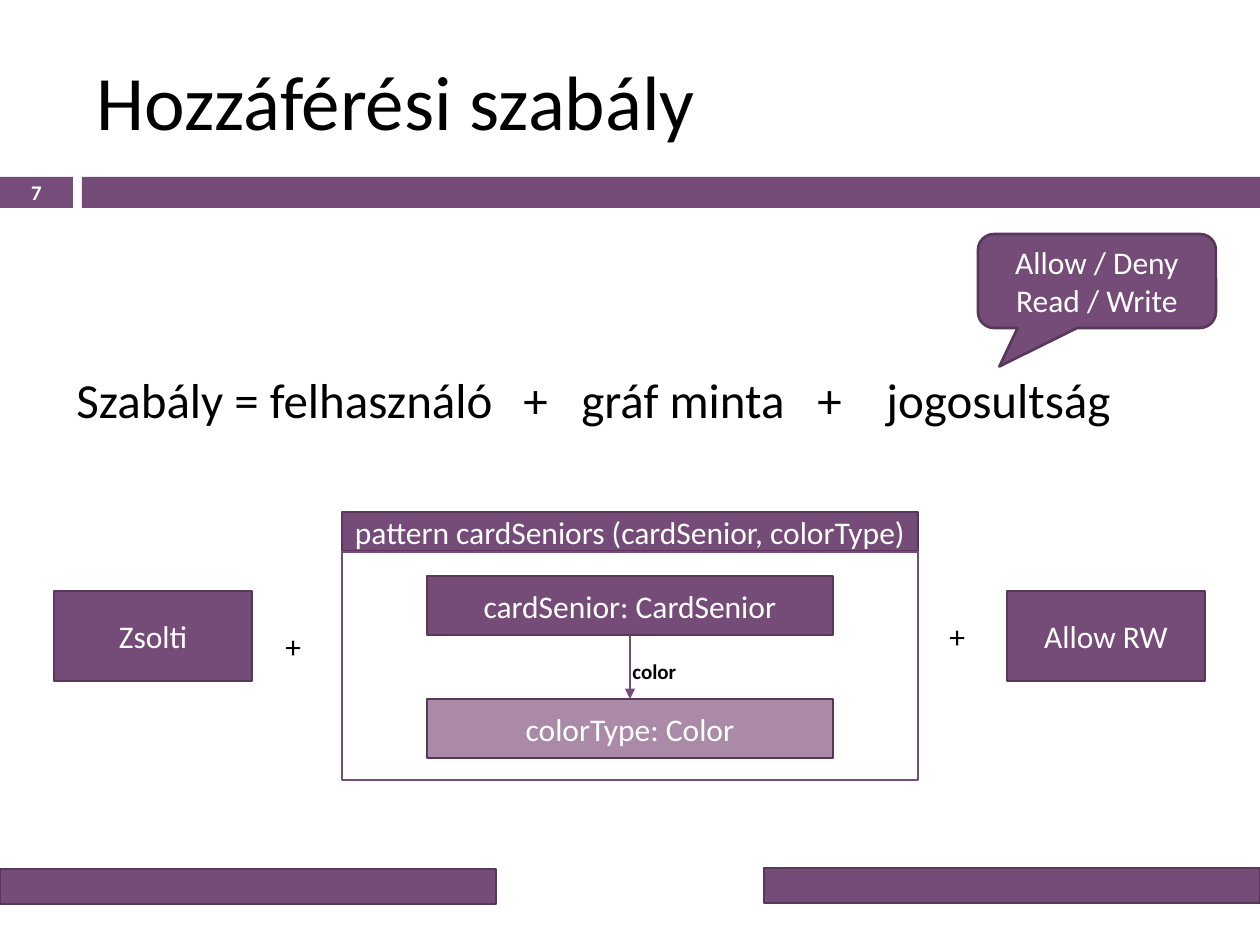
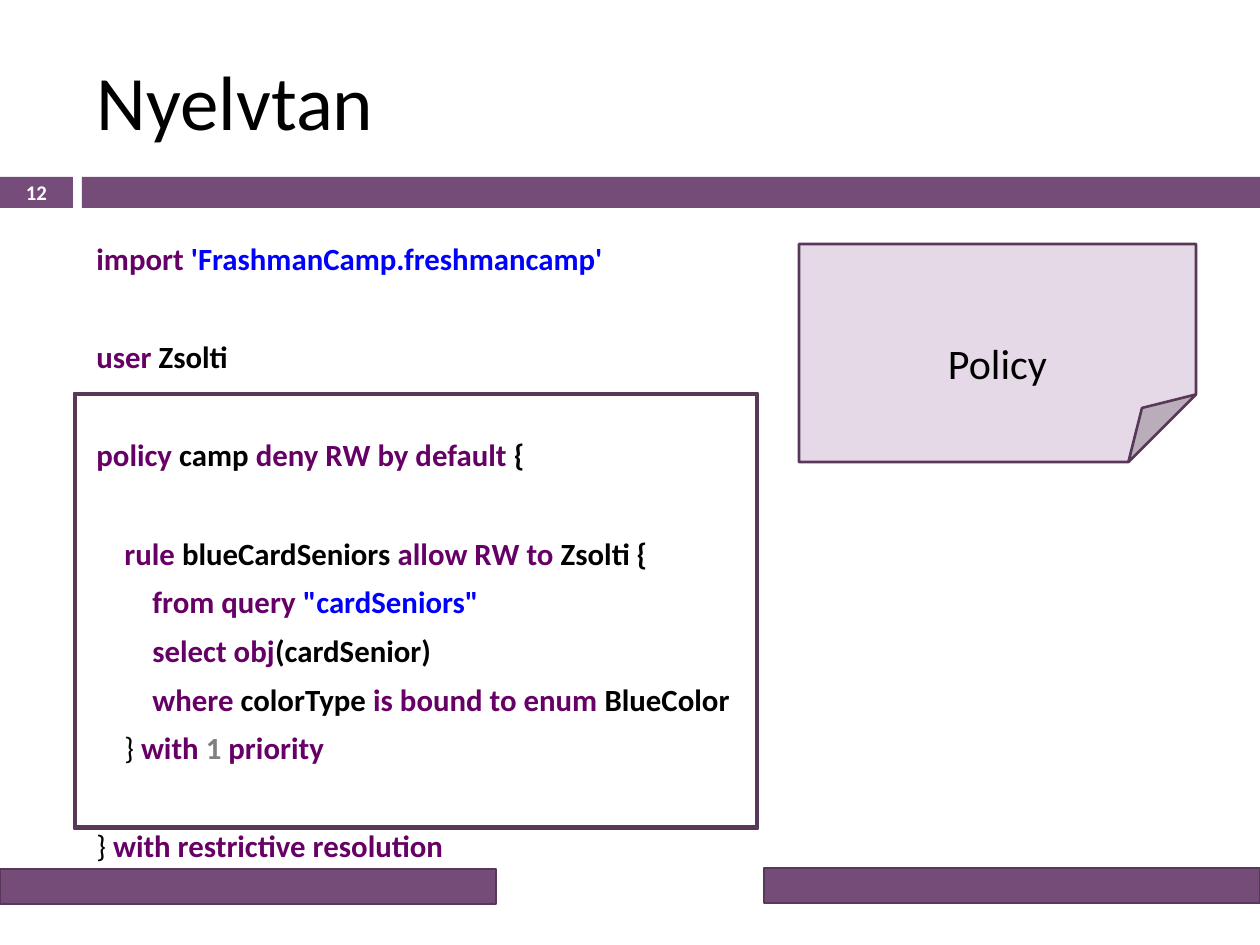
from lxml import etree
from pptx import Presentation
from pptx.dml.color import RGBColor
from pptx.enum.shapes import MSO_CONNECTOR, MSO_SHAPE
from pptx.enum.text import MSO_ANCHOR, PP_ALIGN
from pptx.oxml.ns import qn
from pptx.util import Emu, Pt

RECT = MSO_SHAPE.RECTANGLE
CALLOUT = MSO_SHAPE.ROUNDED_RECTANGULAR_CALLOUT
NOTE = MSO_SHAPE.FOLDED_CORNER
FRAME = MSO_SHAPE.FRAME
STRAIGHT = MSO_CONNECTOR.STRAIGHT
LEFT, CENTER = PP_ALIGN.LEFT, PP_ALIGN.CENTER
TOP, MIDDLE, BOTTOM = MSO_ANCHOR.TOP, MSO_ANCHOR.MIDDLE, MSO_ANCHOR.BOTTOM

EMU_PER_PX = 914400 / 126
FONT = "Calibri"
PURPLE, PURPLE_NUMBER, PURPLE_DARK = "754C78", "754C7A", "573859"
MAUVE, LILAC = "AA8AA6", "E6D9E7"
WHITE, BLACK = "FFFFFF", "000000"
KEYWORD, STRING, NUMBER = "660066", "0000FF", "808080"

CODE_INDENT = 28
LINE_GAP, BLANK_LINE_GAP = 6.7, 34.9
# Each code line: indent level, whether a blank line precedes it, (text, colour) parts
CODE = [
    (0, False, [("import ", KEYWORD), ("'FrashmanCamp.freshmancamp'", STRING)]),
    (0, True, [("user", KEYWORD), (" Zsolti", BLACK)]),
    (0, True, [("policy ", KEYWORD), ("camp ", BLACK),
               ("deny RW by default", KEYWORD), (" {", BLACK)]),
    (1, True, [("rule ", KEYWORD), ("blueCardSeniors ", BLACK),
               ("allow RW to ", KEYWORD), ("Zsolti {", BLACK)]),
    (2, False, [("from query ", KEYWORD), ('"cardSeniors"', STRING)]),
    (2, False, [("select obj", KEYWORD), ("(cardSenior)", BLACK)]),
    (2, False, [("where ", KEYWORD), ("colorType ", BLACK),
                ("is bound to enum ", KEYWORD), ("BlueColor", BLACK)]),
    (1, False, [("} ", BLACK), ("with ", KEYWORD), ("1 ", NUMBER),
                ("priority", KEYWORD)]),
    (0, True, [("} ", BLACK), ("with restrictive resolution", KEYWORD)]),
]


def px(length):
    """Turn picture pixels into EMU."""
    return Emu(round(length * EMU_PER_PX))


def rgb(color):
    """Turn a hex string into a colour."""
    return RGBColor.from_string(color)


def style(paragraph, size, color=None, bold=False, align=LEFT):
    """Format a whole paragraph."""
    font = paragraph.font
    font.name, font.size, font.bold = FONT, Pt(size), bold
    if color:
        font.color.rgb = rgb(color)
    paragraph.alignment = align


def write(frame, text, size, color, bold=False, align=LEFT, anchor=TOP, wrap=True):
    """Put one formatted paragraph into a text frame."""
    frame.word_wrap = wrap
    frame.vertical_anchor = anchor
    paragraph = frame.paragraphs[0]
    paragraph.text = text
    style(paragraph, size, color, bold, align)
    return paragraph


def add_text(slide, box, text, size, color=BLACK, **layout):
    """Add a text box holding one paragraph."""
    text_box = slide.shapes.add_textbox(*map(px, box))
    return write(text_box.text_frame, text, size, color, **layout)


def add_block(slide, box, text="", fill=PURPLE, line=PURPLE_DARK, kind=RECT,
              adjust=None, size=18, color=WHITE, anchor=MIDDLE, wrap=True):
    """Add a filled shape, outlined and labelled on demand."""
    block = slide.shapes.add_shape(kind, *map(px, box))
    block.shadow.inherit = False
    if adjust:
        guides = block._element.find(".//" + qn("a:avLst"))
        guides.clear()
        for name, value in adjust.items():
            etree.SubElement(guides, qn("a:gd"), name=name,
                             fmla=f"val {round(value * 100000)}")
    block.fill.solid()
    block.fill.fore_color.rgb = rgb(fill)
    if line:
        block.line.color.rgb = rgb(line)
        block.line.width = Pt(1.5)
    else:
        block.line.fill.background()
    if text:
        write(block.text_frame, text, size, color, align=CENTER,
              anchor=anchor, wrap=wrap)


def add_arrow(slide, start, end):
    """Add a thin arrow between two points."""
    arrow = slide.shapes.add_connector(STRAIGHT, *map(px, start + end))
    arrow.line.color.rgb = rgb(PURPLE)
    arrow.line.width = Pt(0.79)
    outline = arrow._element.find(".//" + qn("a:ln"))
    etree.SubElement(outline, qn("a:tailEnd"), type="triangle")
    etree.SubElement(outline.getparent(), qn("a:effectLst"))


def add_base(deck, title, number):
    """Start a slide with the shared bands, title and slide number."""
    slide = deck.slides.add_slide(deck.slide_layouts[5])
    add_block(slide, (0, 177, 73, 31), fill=PURPLE_NUMBER, line=None)
    add_block(slide, (82, 177, 1178, 31), line=None)
    add_block(slide, (764, 868, 496, 35))
    add_block(slide, (0, 869, 496, 35))
    heading = slide.shapes.title
    heading.left, heading.top, heading.width, heading.height = map(
        px, (84, 32, 1124, 136))
    write(heading.text_frame, title, 44, BLACK, anchor=MIDDLE)
    add_text(slide, (0, 175, 73, 34), number, 11.9, WHITE, bold=True,
             align=CENTER, anchor=MIDDLE)
    return slide


def add_formula(slide, box):
    """Write the rule equation, its terms spaced by tab stops."""
    terms = ("Szabály = felhasználó", "+", "gráf minta", "+", "jogosultság")
    formula = add_text(slide, box, "\t".join(terms), 28)
    stops = etree.Element(qn("a:tabLst"))
    for stop in (447, 505, 741, 810):
        etree.SubElement(stops, qn("a:tab"), pos=str(px(stop)), algn="l")
    # Schema order puts the tab stops before the default run format
    formula._p.get_or_add_pPr().insert(0, stops)


def add_pattern(slide, box):
    """Draw the graph pattern: a header over two linked nodes."""
    left, top, width, height = box
    header, node_width, node_height = 40, 406, 59
    node_left, middle = left + (width - node_width) / 2, left + width / 2
    upper, lower = top + 64, top + 187
    add_block(slide, (left, top, width, header - 1),
              "pattern cardSeniors (cardSenior, colorType)", wrap=False)
    add_block(slide, (left, top + header, width, height - header),
              fill=WHITE, line=PURPLE)
    add_block(slide, (node_left, upper, node_width, node_height),
              "cardSenior: CardSenior")
    add_block(slide, (node_left, lower, node_width, node_height),
              "colorType: Color", fill=MAUVE)
    add_arrow(slide, (middle, upper + node_height), (middle, lower))
    add_text(slide, (middle - 10, top + 140, 70, 38), "color", 12,
             bold=True, wrap=False)


def add_code(slide, box):
    """Write the policy listing with coloured words."""
    frame = slide.shapes.add_textbox(*map(px, box)).text_frame
    frame.word_wrap = True
    for index, (level, after_blank, parts) in enumerate(CODE):
        line = frame.add_paragraph() if index else frame.paragraphs[0]
        style(line, 17.6, bold=True)
        if index:
            line.space_before = Pt(BLANK_LINE_GAP if after_blank else LINE_GAP)
        line._p.get_or_add_pPr().set("marL", str(px(level * CODE_INDENT)))
        for text, color in parts:
            run = line.add_run()
            run.text = text
            run.font.color.rgb = rgb(color)
            if text == "} ":
                run.font.bold = False


def build_rule_slide(deck):
    """Build the slide on the parts of an access rule."""
    slide = add_base(deck, "Hozzáférési szabály", "7")
    add_formula(slide, (64, 363, 1132, 72))
    add_pattern(slide, (342, 512, 576, 268))
    add_block(slide, (978, 234, 238, 94), "Allow / Deny\vRead / Write",
              kind=CALLOUT, adjust={"adj1": -0.41, "adj2": 0.91, "adj3": 0.17})
    for left, text in ((54, "Zsolti"), (1007, "Allow RW")):
        add_block(slide, (left, 591, 198, 90), text)
    for left, top in ((273, 621), (937, 611)):
        add_text(slide, (left, top, 47, 50), "+", 18, wrap=False)


def build_grammar_slide(deck):
    """Build the slide on the policy grammar."""
    slide = add_base(deck, "Nyelvtan", "12")
    add_code(slide, (84, 234, 714, 620))
    add_block(slide, (799, 244, 397, 218), "Policy", fill=LILAC, kind=NOTE,
              adjust={"adj": 0.31}, size=24, color=BLACK, anchor=BOTTOM)
    add_block(slide, (74, 393, 684, 436), kind=FRAME, adjust={"adj1": 0.005})


deck = Presentation()
deck.slide_width, deck.slide_height = px(1260), px(945)
build_rule_slide(deck)
build_grammar_slide(deck)
deck.save("out.pptx")
